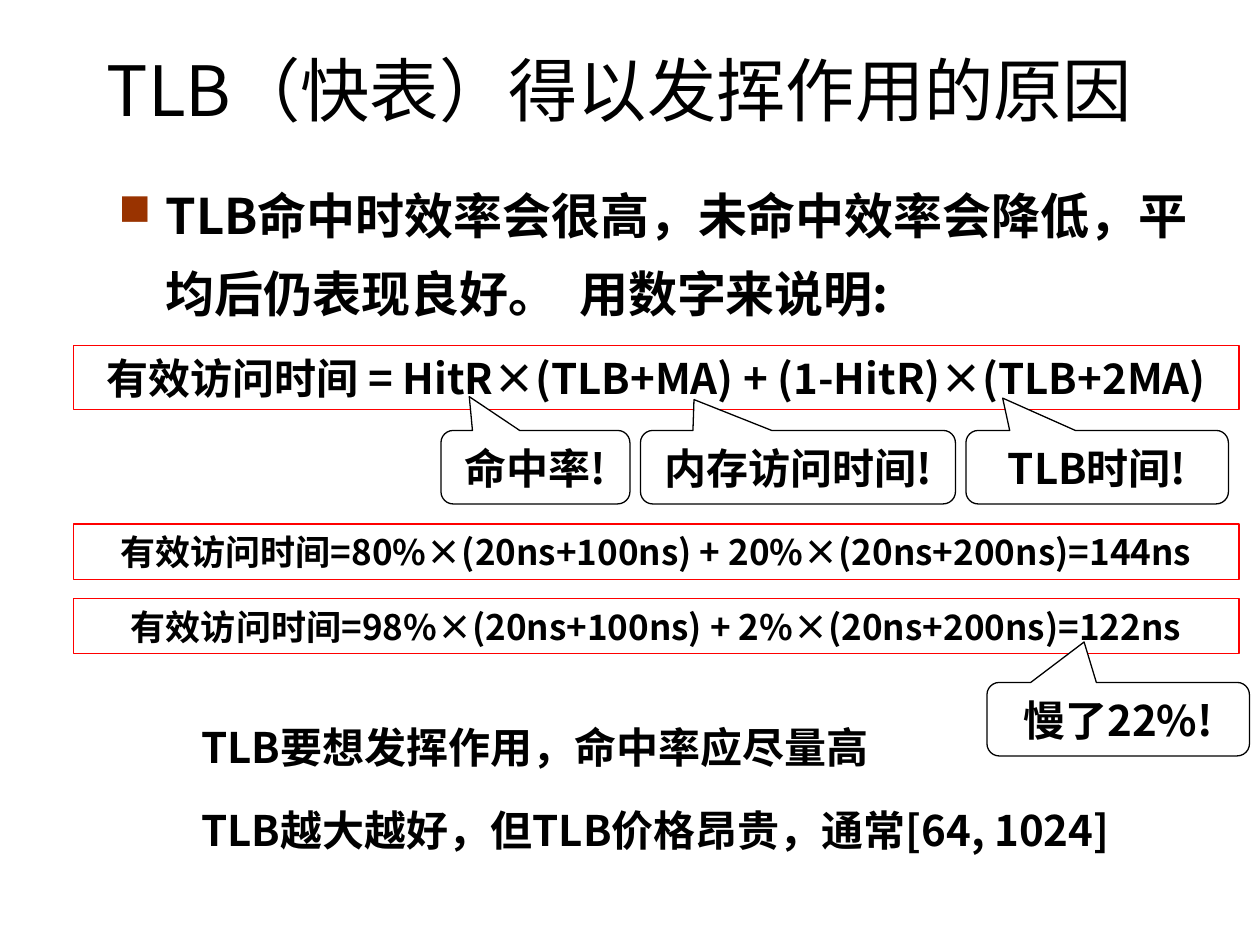
"""Build the slide on why the TLB works, with its access time formulas."""
from lxml import etree
from pptx import Presentation
from pptx.dml.color import RGBColor
from pptx.enum.shapes import MSO_SHAPE
from pptx.enum.text import MSO_ANCHOR, PP_ALIGN
from pptx.oxml.ns import qn
from pptx.util import Pt

RECTANGLE = MSO_SHAPE.RECTANGLE
CALLOUT = MSO_SHAPE.ROUNDED_RECTANGULAR_CALLOUT
MIDDLE, TOP = MSO_ANCHOR.MIDDLE, MSO_ANCHOR.TOP
CENTER, LEFT = PP_ALIGN.CENTER, PP_ALIGN.LEFT

THEME = {
    "font": "Noto Sans CJK SC",
    "ink": RGBColor(0, 0, 0),
    "paper": RGBColor(255, 255, 255),
    "frame": RGBColor(255, 0, 0),
    "bullet": "993300",
    "title": 39.6,
    "lead": 28,
    "body": 24,
    "example": 20,
}


def write(box, text, size, bold=True, align=CENTER, anchor=MIDDLE, wrap=True, inset=0):
    frame = box.text_frame
    settings = {"word_wrap": wrap, "vertical_anchor": anchor,
                "margin_top": Pt(inset), "margin_bottom": Pt(inset)}
    for name, value in settings.items():
        setattr(frame, name, value)
    para = frame.paragraphs[0]
    para.alignment = align
    span = para.add_run()
    span.text = text
    for name, value in {"name": THEME["font"], "size": Pt(THEME[size]), "bold": bold}.items():
        setattr(span.font, name, value)
    span.font.color.rgb = THEME["ink"]
    etree.SubElement(span.font._element, qn("a:ea"), typeface=THEME["font"])
    return para


def add_box(kind, left, top, width, height, line):
    box = page.shapes.add_shape(kind, Pt(left), Pt(top), Pt(width), Pt(height))
    box.shadow.inherit = False
    box.line.color.rgb = THEME[line]
    box.line.width = Pt(0.75)
    return box


deck = Presentation()
deck.slide_width, deck.slide_height = Pt(720), Pt(540)
page = deck.slides.add_slide(deck.slide_layouts[5])

title = page.shapes.title
for name, value in {"left": 30, "top": 24, "width": 648, "height": 53}.items():
    setattr(title, name, Pt(value))
write(title, "TLB（快表）得以发挥作用的原因", "title", bold=False)

lead = page.shapes.add_textbox(Pt(60.5), Pt(91.5), Pt(636), Pt(68))
para = write(lead, "TLB命中时效率会很高，未命中效率会降低，平均后仍表现良好。  用数字来说明:",
             "lead", align=LEFT, anchor=TOP, inset=3.6)
para.line_spacing = Pt(44.6)
layout = para._p.get_or_add_pPr()
layout.set("marL", str(Pt(27)))
layout.set("indent", str(Pt(-27)))
color = etree.SubElement(layout, qn("a:buClr"))
etree.SubElement(color, qn("a:srgbClr"), val=THEME["bullet"])
etree.SubElement(layout, qn("a:buSzPct"), val="90000")
etree.SubElement(layout, qn("a:buChar"), char="■")

formulas = [
    (197.5, 36.5, "body", "有效访问时间 = HitR×(TLB+MA) + (1-HitR)×(TLB+2MA)"),
    (299.5, 31.5, "example", "有效访问时间=80%×(20ns+100ns) + 20%×(20ns+200ns)=144ns"),
    (342, 31.5, "example", "有效访问时间=98%×(20ns+100ns) + 2%×(20ns+200ns)=122ns"),
]
for top, height, size, text in formulas:
    box = add_box(RECTANGLE, 42, top, 666, height, "frame")
    box.fill.background()
    write(box, text, size, wrap=False)

callouts = [
    (252, 246, 108, -0.35, -0.96, "命中率!"),
    (366, 246, 180, -0.33, -0.92, "内存访问时间!"),
    (552, 246, 150, -0.36, -0.94, "TLB时间!"),
    (564, 390, 150, -0.13, -1.05, "慢了22%!"),
]
for left, top, width, tip_x, tip_y, text in callouts:
    box = add_box(CALLOUT, left, top, width, 42, "ink")
    box.fill.solid()
    box.fill.fore_color.rgb = THEME["paper"]
    box.adjustments[0], box.adjustments[1] = tip_x, tip_y
    write(box, text, "body", wrap=False)

conclusions = ["TLB要想发挥作用，命中率应尽量高", "TLB越大越好，但TLB价格昂贵，通常[64, 1024]"]
for index, text in enumerate(conclusions):
    box = page.shapes.add_textbox(Pt(72), Pt(397 + 47.5 * index), Pt(582.5), Pt(48))
    para = write(box, text, "body", align=LEFT, anchor=TOP, inset=3.6)
    para.line_spacing = Pt(40.6)
    para._p.get_or_add_pPr().set("marL", str(Pt(36)))

deck.save("out.pptx")
